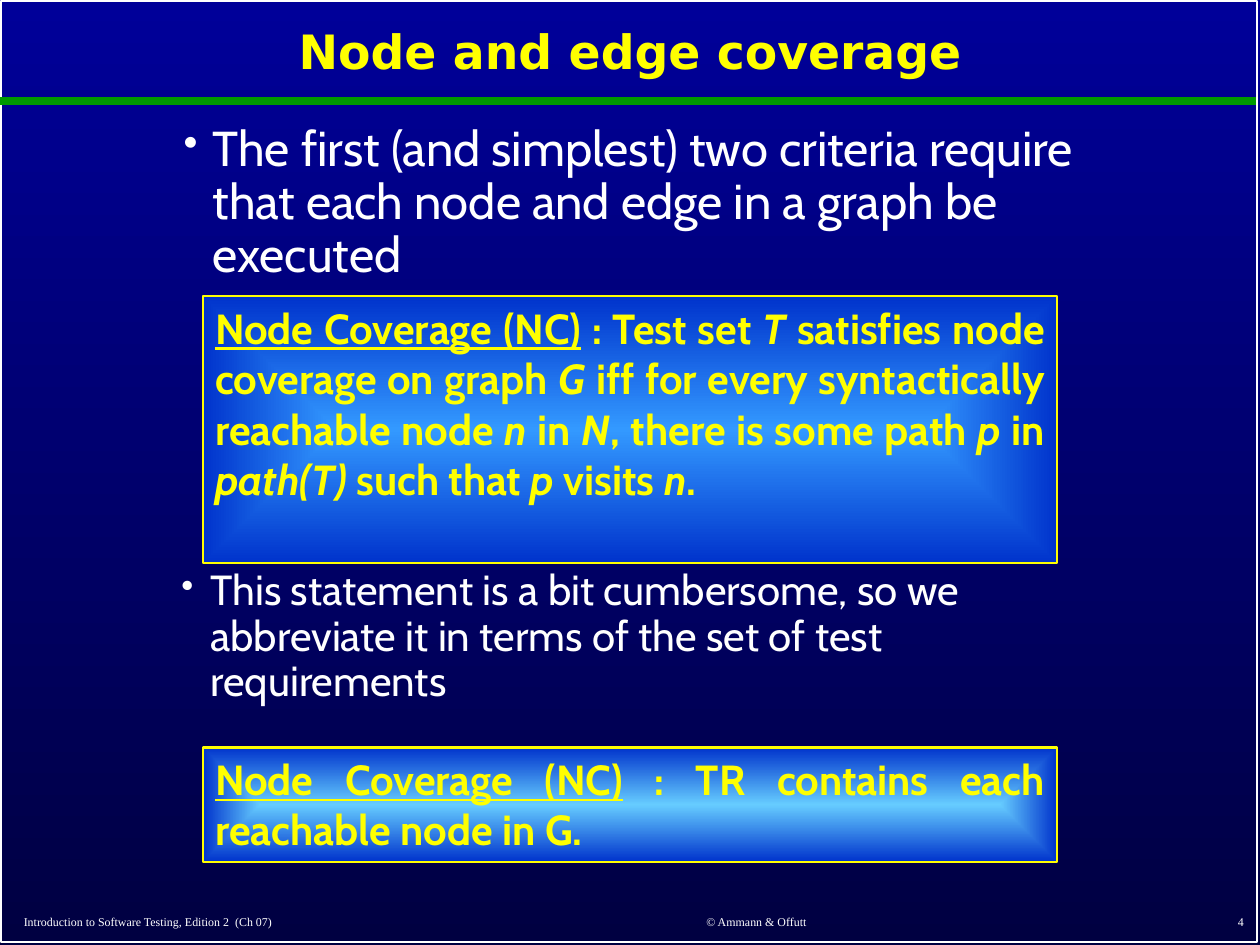
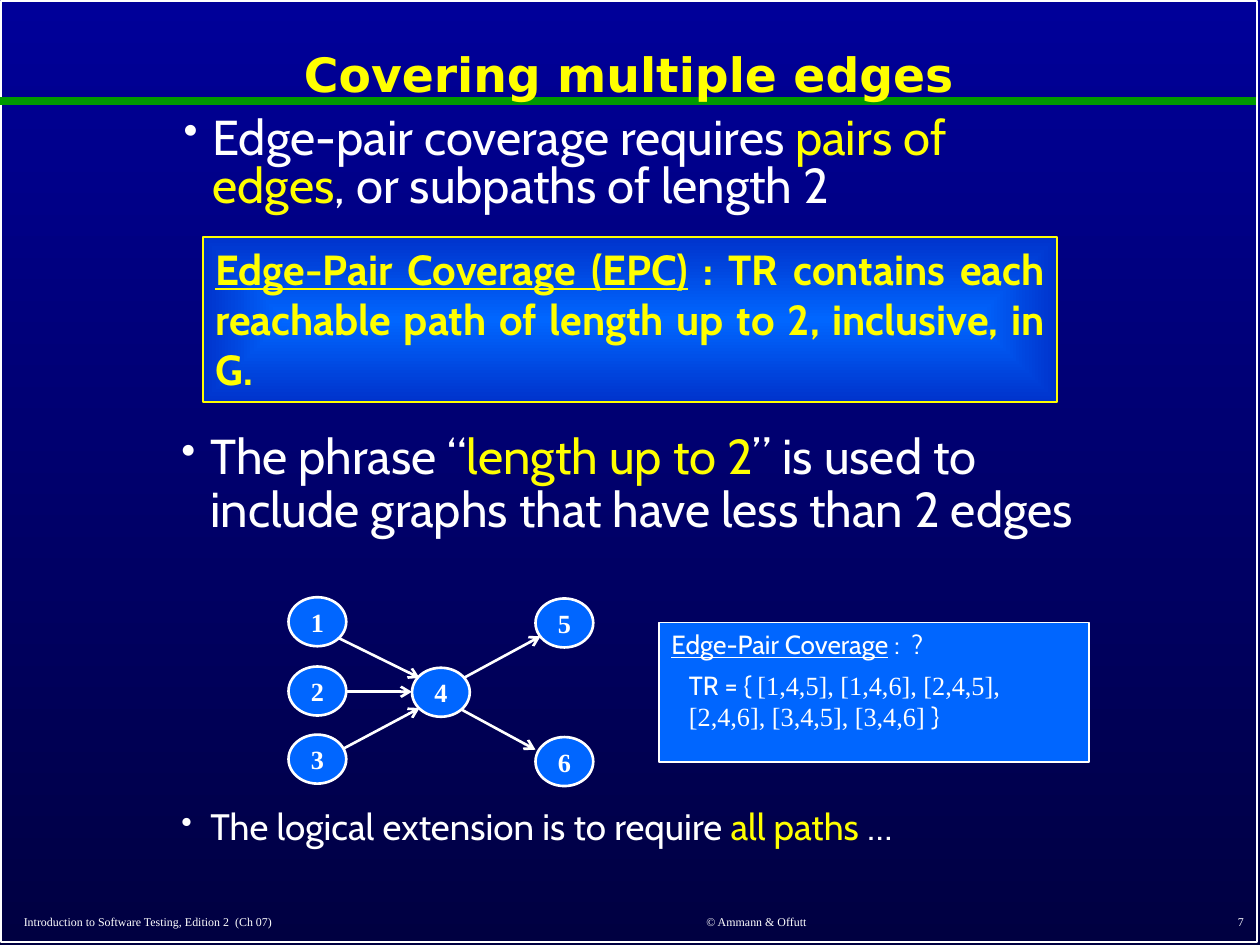
"""Builds two slides on node, edge and edge-pair coverage of graphs."""
from dataclasses import dataclass

from lxml.etree import SubElement
from pptx import Presentation
from pptx.dml.color import RGBColor
from pptx.enum.shapes import MSO_CONNECTOR, MSO_SHAPE
from pptx.enum.text import MSO_ANCHOR, PP_ALIGN
from pptx.oxml.ns import qn
from pptx.util import Pt


@dataclass(frozen=True)
class Theme:
    white: str = "FFFFFF"
    yellow: str = "FFFF00"
    green: str = "009900"
    sky_top: str = "000099"
    sky_bottom: str = "000041"
    box_edge: str = "0033CC"
    node_blue: str = "0066FF"
    body_font: str = "Cabin"
    title_font: str = "DejaVu Sans"
    serif: str = "Times New Roman"
    title: float = 27
    large: float = 28
    medium: float = 24
    small: float = 21
    graph: float = 15
    footer: float = 6.8


theme = Theme()


def write(frame, runs, size, color=theme.white, font=theme.body_font, bold=False,
          align=PP_ALIGN.LEFT, anchor=MSO_ANCHOR.TOP, wrap=True, spacing=None,
          bullet=False, margins=(7.2, 3.6)):
    """Fill a frame with (text, flags) runs: u underline, i italic, y yellow, s serif."""
    frame.word_wrap = wrap
    frame.vertical_anchor = anchor
    frame.margin_left = frame.margin_right = Pt(margins[0])
    frame.margin_top = frame.margin_bottom = Pt(margins[1])
    paragraph = frame.paragraphs[0]
    paragraph.alignment = align
    if spacing:
        paragraph.line_spacing = spacing
    if bullet:
        properties = paragraph._p.get_or_add_pPr()
        properties.set("marL", str(Pt(16.56)))
        properties.set("indent", str(-Pt(16.56)))
        SubElement(properties, qn("a:buSzPct")).set("val", "85000")
        SubElement(properties, qn("a:buChar")).set("char", "•")
    for text, flags in runs:
        run = paragraph.add_run()
        run.text = text
        run.font.size = Pt(size)
        run.font.name = theme.serif if "s" in flags else font
        run.font.bold = bold
        run.font.italic = "i" in flags
        run.font.underline = "u" in flags
        run.font.color.rgb = RGBColor.from_string(theme.yellow if "y" in flags else color)


def outline(item, color, width, arrow=False):
    """Give a shape or connector its line, without a shadow."""
    item.line.color.rgb = RGBColor.from_string(color)
    item.line.width = Pt(width)
    if arrow:
        SubElement(item.line._get_or_add_ln(), qn("a:tailEnd")).set("type", "arrow")
    SubElement(item._element.spPr, qn("a:effectLst"))


deck = Presentation()
deck.slide_width, deck.slide_height = Pt(720), Pt(540)
sky = deck.slide_master.background.fill
sky.gradient()
sky.gradient_angle = 270
for stop, color in zip(sky.gradient_stops, (theme.sky_top, theme.sky_bottom)):
    stop.color.rgb = RGBColor.from_string(color)

headings = [
    ("Node and edge coverage", "4", (130.3, 6.5, 459.4, 49)),
    ("Covering multiple edges", "7", (6.5, 7.9, 705.6, 72)),
]
for heading, number, place in headings:
    slide = deck.slides.add_slide(deck.slide_layouts[5])
    border = slide.shapes.add_shape(MSO_SHAPE.RECTANGLE, Pt(0.7), Pt(0.7), Pt(717.8), Pt(537.8))
    border.fill.background()
    outline(border, theme.white, 1)
    rule = slide.shapes.add_connector(MSO_CONNECTOR.STRAIGHT, 0, Pt(57.6), Pt(717.8), Pt(57.6))
    outline(rule, theme.green, 4.5)
    footers = [
        ("Introduction to Software Testing, Edition 2  (Ch 07)", 6.5, 296.6, PP_ALIGN.LEFT),
        ("© Ammann & Offutt", 318.2, 228.2, PP_ALIGN.CENTER),
        (number, 568, 149.8, PP_ALIGN.RIGHT),
    ]
    for footer, left, width, align in footers:
        note = slide.shapes.add_textbox(Pt(left), Pt(512), Pt(width), Pt(22.2))
        write(note.text_frame, [(footer, "")], theme.footer, font=theme.serif,
              align=align, anchor=MSO_ANCHOR.BOTTOM)
    title = slide.shapes.title
    title.left, title.top, title.width, title.height = map(Pt, place)
    write(title.text_frame, [(heading, "")], theme.title, theme.yellow, theme.title_font,
          bold=True, align=PP_ALIGN.CENTER, anchor=MSO_ANCHOR.MIDDLE, spacing=0.9)
    border._element.getparent().append(title._element)

node_slide, pair_slide = deck.slides

lead, follow = (7.2, 3.6), (5.76, 2.88)
statements = [
    (node_slide, 67.7, 45.4, theme.large, 0.9, lead, [
        ("The first (and simplest) two criteria require that each node and edge "
         "in a graph be executed", "")]),
    (node_slide, 322.6, 44.6, theme.medium, 0.9, follow, [
        ("This statement is a bit cumbersome, so we abbreviate it in terms of "
         "the set of test requirements", "")]),
    (pair_slide, 64.1, 38.9, theme.large, 0.8, lead, [
        ("Edge-pair coverage requires ", ""), ("pairs of edges", "y"),
        (", or subpaths of length 2", "")]),
    (pair_slide, 244.1, 44.6, theme.large, 0.9, follow, [
        ("The phrase “", ""), ("length up to 2", "y"),
        ("” is used to include graphs that have less than 2 edges", "")]),
    (pair_slide, 459.4, 25.9, theme.small, 0.9, follow, [
        ("The logical extension is to require ", ""), ("all paths", "y"), (" …", "")]),
]
for slide, top, height, size, spacing, margins, runs in statements:
    statement = slide.shapes.add_textbox(Pt(97.9), Pt(top), Pt(523.4), Pt(height))
    write(statement.text_frame, runs, size, spacing=spacing, bullet=True, margins=margins)

definitions = [
    (node_slide, 169.2, 152.6, "3399FF", [
        ("Node Coverage (NC)", "u"), (" : Test set ", ""), ("T", "i"),
        (" satisfies node coverage on graph ", ""), ("G ", "i"),
        ("iff for every syntactically reachable node ", ""), ("n", "i"), (" in ", ""),
        ("N", "i"), (", there is some path ", ""), ("p", "i"), (" in ", ""),
        ("path(T)", "i"), (" such that ", ""), ("p", "i"), (" visits ", ""),
        ("n", "i"), (".", "")]),
    (node_slide, 427, 65.5, "66CCFF", [
        ("Node Coverage (NC)", "u"),
        (" : TR contains each reachable node in G.", "")]),
    (pair_slide, 135.4, 94.3, theme.node_blue, [
        ("Edge-Pair Coverage (EPC)", "u"),
        (" : TR contains each reachable path of length up to 2, inclusive, in G.", "")]),
]
for slide, top, height, glow, runs in definitions:
    definition = slide.shapes.add_shape(MSO_SHAPE.RECTANGLE, Pt(115.9), Pt(top), Pt(488.2), Pt(height))
    definition.fill.gradient()
    for stop, color in zip(definition.fill.gradient_stops, (glow, theme.box_edge)):
        stop.color.rgb = RGBColor.from_string(color)
    gradient = definition._element.spPr.find(qn("a:gradFill"))
    gradient.remove(gradient.find(qn("a:lin")))
    shading = SubElement(gradient, qn("a:path"))
    shading.set("path", "shape")
    center = SubElement(shading, qn("a:fillToRect"))
    for side in "ltrb":
        center.set(side, "50000")
    outline(definition, theme.yellow, 1.5)
    write(definition.text_frame, runs, theme.medium, theme.yellow, bold=True, align=PP_ALIGN.JUSTIFY)

edges = [
    (191.5, 363.6, 239.8, 387.4),
    (197.3, 395.3, 235.4, 395.3),
    (195.1, 428.4, 239.8, 404.6),
    (265, 387.4, 308.9, 363.6),
    (262.1, 404.6, 306, 428.4),
]
for ends in edges:
    edge = pair_slide.shapes.add_connector(MSO_CONNECTOR.STRAIGHT, *map(Pt, ends))
    outline(edge, theme.white, 1.5, arrow=True)

nodes = [("1", 0, 341.3), ("2", 0, 380.9), ("3", 0, 419.8),
         ("4", 1, 381.6), ("5", 2, 342), ("6", 2, 421.2)]
for label, column, top in nodes:
    node = pair_slide.shapes.add_shape(MSO_SHAPE.OVAL, Pt(164.9 + 70.56 * column), Pt(top), Pt(33), Pt(28))
    node.fill.solid()
    node.fill.fore_color.rgb = RGBColor.from_string(theme.node_blue)
    outline(node, theme.white, 1.5)
    write(node.text_frame, [(label, "")], theme.graph, font=theme.serif, bold=True,
          align=PP_ALIGN.CENTER, anchor=MSO_ANCHOR.MIDDLE, wrap=False)

answer = pair_slide.shapes.add_shape(MSO_SHAPE.RECTANGLE, Pt(376.6), Pt(355.7), Pt(245.5), Pt(79.9))
answer.fill.solid()
answer.fill.fore_color.rgb = RGBColor.from_string(theme.node_blue)
outline(answer, theme.white, 1)
write(answer.text_frame, [("Edge-Pair Coverage", "u"), (" :  ?", "")], theme.graph)

requirements = pair_slide.shapes.add_textbox(Pt(386.6), Pt(378.7), Pt(217.4), Pt(43.9))
write(requirements.text_frame, [
    ("TR = { ", ""),
    ("[1,4,5], [1,4,6], [2,4,5], [2,4,6], [3,4,5], [3,4,6] ", "s"),
    ("}", "")], theme.graph)

deck.save("out.pptx")
